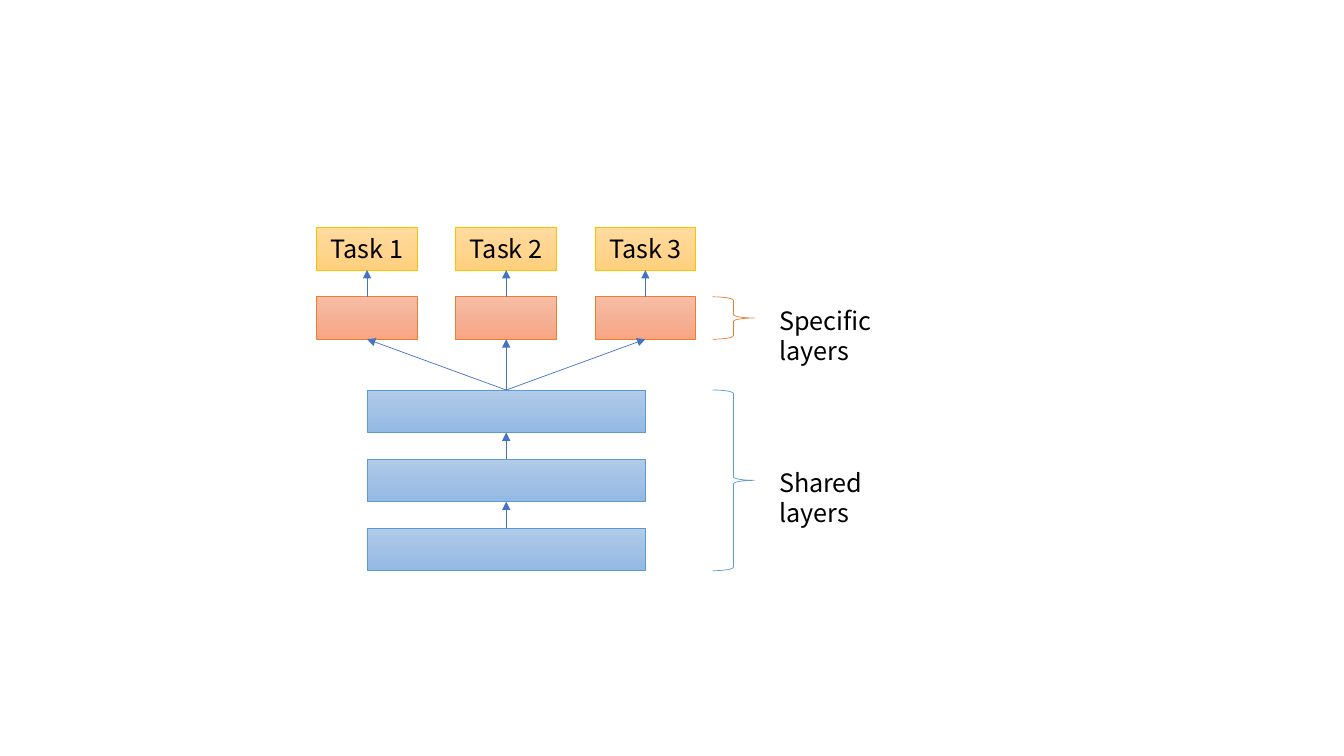
from copy import deepcopy

from pptx import Presentation
from pptx.dml.color import RGBColor
from pptx.enum.shapes import MSO_CONNECTOR as Connector, MSO_SHAPE as Preset
from pptx.enum.text import MSO_ANCHOR as Anchor, PP_ALIGN as Align
from pptx.oxml.ns import qn
from pptx.oxml.xmlchemy import OxmlElement
from pptx.util import Pt

FONT = "Noto Sans CJK SC"
TEXT_SIZE = 18
LINE_PITCH = 21.6
LINE_WIDTH = 0.5
BLACK = "000000"
ARROW = "4472C4"

TASKS = ["Task 1", "Task 2", "Task 3"]
SHARED_COUNT = 3
# Each style: gradient stops from top to bottom, then outline
STYLES = {
    "task": (["FFDB9E", "FFD590", "FFD07C"], "FFC000"),
    "specific": (["F7BDA5", "F5B196", "F8A582"], "ED7D31"),
    "shared": (["B1CBE9", "A3C1E5", "93B9E4"], "5B9BD5"),
}

# Layout in points
FIRST_CENTER, COLUMN_PITCH = 262.2, 99.4
TASK_WIDTH, BOX_HEIGHT = 72, 30.3
TASK_TOP, SHARED_TOP, ROW_PITCH = 162.6, 278.6, 49.4
BRACE_LEFT, BRACE_WIDTH = 509, 29.8
LABEL_LEFT, LABEL_WIDTH, LABEL_HEIGHT = 549.4, 94, 58

centers = [FIRST_CENTER + i * COLUMN_PITCH for i in range(len(TASKS))]
middle = sum(centers) / len(centers)
shared_width = centers[-1] - centers[0]
specific_top = TASK_TOP + ROW_PITCH
shared_tops = [SHARED_TOP + i * ROW_PITCH for i in range(SHARED_COUNT)]
shared_height = shared_tops[-1] + BOX_HEIGHT - SHARED_TOP

# Each group: label, label top, style, brace top, brace height
GROUPS = [
    ("Specific layers", 214.4, "specific", specific_top, BOX_HEIGHT),
    ("Shared layers", 330.4, "shared", SHARED_TOP, shared_height),
]


def color(value):
    """Turn a hex string into a colour."""
    return RGBColor.from_string(value)


def set_line(item, value):
    """Give a shape or connector a thin solid line."""
    item.line.color.rgb = color(value)
    item.line.width = Pt(LINE_WIDTH)


def add_text(frame, text, align):
    """Write one formatted run into a text frame."""
    para = frame.paragraphs[0]
    para.alignment = align
    para.line_spacing = Pt(LINE_PITCH)
    span = para.add_run()
    span.text = text
    span.font.name = FONT
    span.font.size = Pt(TEXT_SIZE)
    span.font.color.rgb = color(BLACK)


def add_box(center, top, width, style):
    """Add a gradient rectangle centred on a column."""
    stops, outline = STYLES[style]
    box = page.shapes.add_shape(Preset.RECTANGLE, Pt(center - width / 2),
                                Pt(top), Pt(width), Pt(BOX_HEIGHT))
    box.shadow.inherit = False
    box.fill.gradient()
    box.fill.gradient_angle = 270
    stop_list = box.element.spPr.find(".//" + qn("a:gsLst"))
    stop_list.insert(1, deepcopy(stop_list[0]))
    for i, stop in enumerate(box.fill.gradient_stops):
        stop.position = i / (len(stops) - 1)
        stop.color.rgb = color(stops[i])
    set_line(box, outline)
    return box


def add_arrow(x1, y1, x2, y2):
    """Add a straight line with a triangle at its end."""
    arrow = page.shapes.add_connector(Connector.STRAIGHT, Pt(x1), Pt(y1),
                                      Pt(x2), Pt(y2))
    set_line(arrow, ARROW)
    tail = OxmlElement("a:tailEnd")
    tail.set("type", "triangle")
    arrow.line._get_or_add_ln().append(tail)
    arrow.element.spPr.append(OxmlElement("a:effectLst"))


def add_group(label, label_top, style, top, height):
    """Add a brace and the label beside it."""
    brace = page.shapes.add_shape(Preset.RIGHT_BRACE, Pt(BRACE_LEFT), Pt(top),
                                  Pt(BRACE_WIDTH), Pt(height))
    brace.shadow.inherit = False
    brace.fill.background()
    set_line(brace, STYLES[style][1])
    box = page.shapes.add_textbox(Pt(LABEL_LEFT), Pt(label_top),
                                  Pt(LABEL_WIDTH), Pt(LABEL_HEIGHT))
    box.text_frame.word_wrap = True
    add_text(box.text_frame, label, Align.LEFT)


deck = Presentation()
deck.slide_width, deck.slide_height = Pt(960), Pt(540)
page = deck.slides.add_slide(deck.slide_layouts[6])

for top in reversed(shared_tops):
    add_box(middle, top, shared_width, "shared")
for top in reversed(shared_tops[1:]):
    add_arrow(middle, top, middle, top - ROW_PITCH + BOX_HEIGHT)

for task, center in zip(TASKS, centers):
    add_box(center, specific_top, TASK_WIDTH, "specific")
    add_arrow(middle, SHARED_TOP, center, specific_top + BOX_HEIGHT)
    task_box = add_box(center, TASK_TOP, TASK_WIDTH, "task")
    task_box.text_frame.word_wrap = False
    task_box.text_frame.vertical_anchor = Anchor.MIDDLE
    add_text(task_box.text_frame, task, Align.CENTER)
    add_arrow(center, specific_top, center, TASK_TOP + BOX_HEIGHT)

for group in GROUPS:
    add_group(*group)

deck.save("out.pptx")
